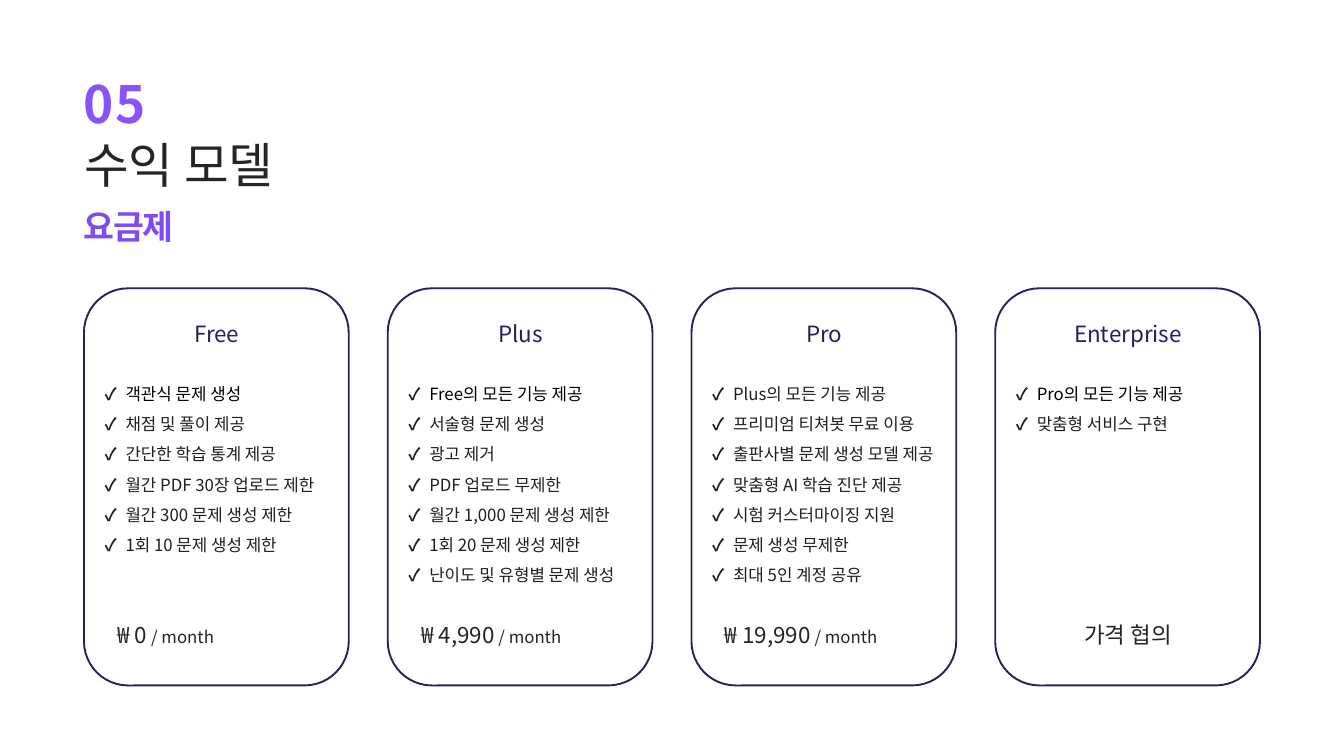
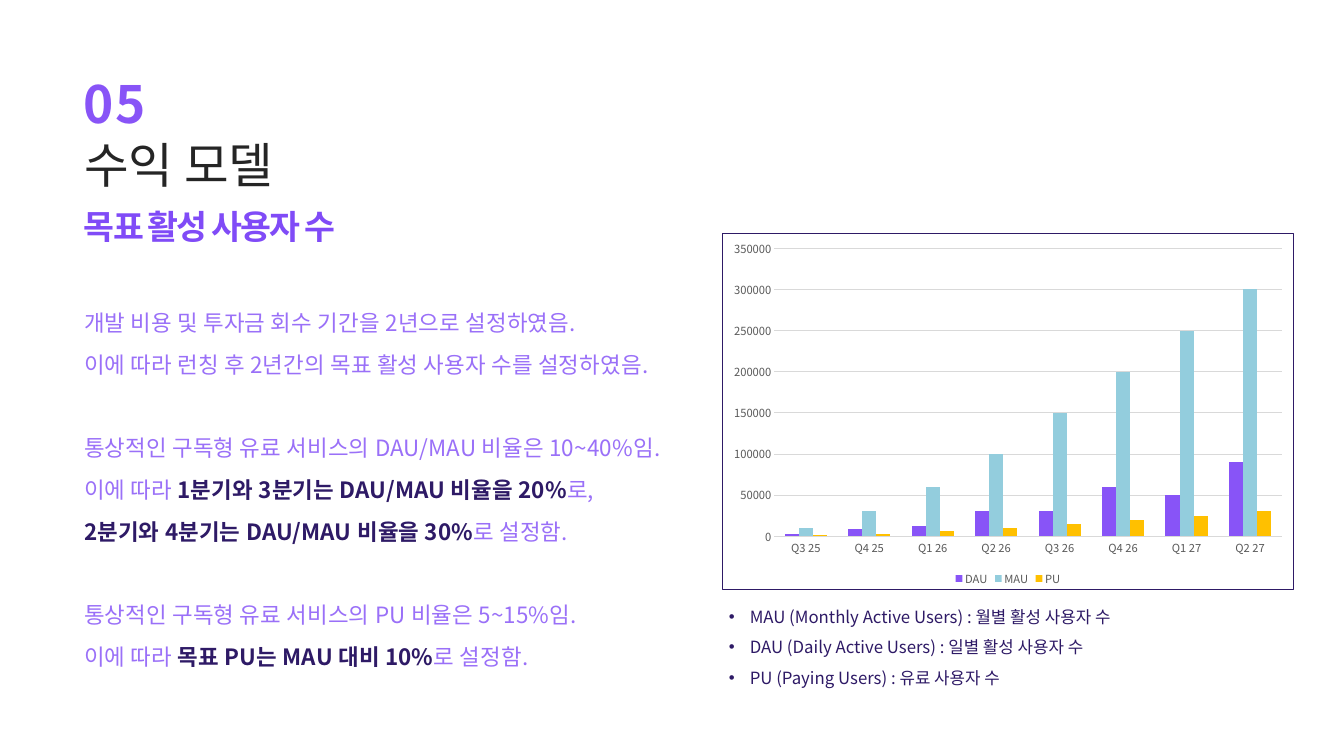
from lxml import etree
from pptx import Presentation
from pptx.chart.data import CategoryChartData
from pptx.dml.color import RGBColor
from pptx.enum.chart import XL_CHART_TYPE, XL_LEGEND_POSITION, XL_TICK_MARK
from pptx.enum.shapes import MSO_SHAPE
from pptx.enum.text import MSO_ANCHOR, MSO_AUTO_SIZE, PP_ALIGN
from pptx.oxml import parse_xml
from pptx.oxml.ns import nsdecls, qn
from pptx.util import Inches, Pt

COLUMNS = XL_CHART_TYPE.COLUMN_CLUSTERED
BOTTOM = XL_LEGEND_POSITION.BOTTOM
NO_TICK = XL_TICK_MARK.NONE
ROUND = MSO_SHAPE.ROUNDED_RECTANGLE
TOP = MSO_ANCHOR.TOP
GROW = MSO_AUTO_SIZE.SHAPE_TO_FIT_TEXT
LEFT, CENTER = PP_ALIGN.LEFT, PP_ALIGN.CENTER

FONT = "Noto Sans CJK KR"
HEX = {
    "number": "8854F7", "title": "252525", "topic": "804BF7",
    "navy": "2E1A66", "lilac": "9A70F8", "item": "1F1F1F",
    "black": "000000", "price": "212529", "axis": "595959",
    "grid": "D9D9D9", "sky": "93CDDD", "gold": "FFC000",
}
WIDE, HIGH = 20, 11.25
EDGE = WIDE / 16


def style(font, size, color, bold=False):
    font.size, font.bold, font.name = Pt(size), bold, FONT
    font.color.rgb = RGBColor.from_string(HEX[color])


def write(box, area, paras, line=None, align=LEFT, inset=True, track=0):
    """Place a box and fill it; a paragraph is a list of (text, size, color, bold)."""
    box.left, box.top, box.width, box.height = [Inches(n) for n in area]
    frame = box.text_frame
    frame.word_wrap, frame.auto_size, frame.vertical_anchor = True, GROW, TOP
    if not inset:
        frame.margin_left = frame.margin_right = 0
        frame.margin_top = frame.margin_bottom = 0
    for i, runs in enumerate(paras):
        para = frame.add_paragraph() if i else frame.paragraphs[0]
        para.alignment = align
        para.space_before = Pt(0)
        if line:
            para.line_spacing = line
        for text, *look in runs:
            run = para.add_run()
            run.text = text
            style(run.font, *look)
            props = run.font._element
            etree.SubElement(props, qn("a:ea")).set("typeface", FONT)
            if track:
                props.set("spc", str(round(track * 100)))
    return frame.paragraphs


deck = Presentation()
deck.slide_width, deck.slide_height = Inches(WIDE), Inches(HIGH)

# Shared heading on both slides
slides = []
for topic in ["요금제", "목표 활성 사용자 수"]:
    slide = deck.slides.add_slide(deck.slide_layouts[5])
    slides.append(slide)
    boxes = slide.shapes
    write(boxes.add_textbox(0, 0, 0, 0), (EDGE, 0.46, 1.53, 1.39),
          [[("05", 55, "number", True)]], Pt(110), inset=False, track=1.3)
    write(boxes.title, (EDGE, 1.43, 5.8, 1.31),
          [[("수익 모델", 52, "title")]], Pt(104), inset=False)
    write(boxes.add_textbox(0, 0, 0, 0), (EDGE, 3.22, 11, 0.49),
          [[(topic, 36, "topic", True)]], Pt(32.1), inset=False, track=-2)
plans, goals = [slide.shapes for slide in slides]

# Pricing cards: name, colour of the first item, items, price, unit
CARDS = [
    ("Free", "black",
     ["객관식 문제 생성", "채점 및 풀이 제공", "간단한 학습 통계 제공",
      "월간 PDF 30장 업로드 제한", "월간 300 문제 생성 제한",
      "1회 10 문제 생성 제한"], "₩ 0", " / month"),
    ("Plus", "black",
     ["Free의 모든 기능 제공", "서술형 문제 생성", "광고 제거",
      "PDF 업로드 무제한", "월간 1,000 문제 생성 제한",
      "1회 20 문제 생성 제한", "난이도 및 유형별 문제 생성"],
     "₩ 4,990", " / month"),
    ("Pro", "item",
     ["Plus의 모든 기능 제공", "프리미엄 티쳐봇 무료 이용",
      "출판사별 문제 생성 모델 제공", "맞춤형 AI 학습 진단 제공",
      "시험 커스터마이징 지원", "문제 생성 무제한",
      "최대 5인 계정 공유"], "₩ 19,990", " / month"),
    ("Enterprise", "black",
     ["Pro의 모든 기능 제공", "맞춤형 서비스 구현"], "가격 협의", ""),
]
CARD, TALL, ROW = 3.94, 5.91, 4.29
STEP = (WIDE - 2 * EDGE - CARD) / (len(CARDS) - 1)
for i, (name, first, items, price, unit) in enumerate(CARDS):
    x = EDGE + i * STEP
    card = plans.add_shape(ROUND, Inches(x), Inches(ROW), Inches(CARD), Inches(TALL))
    card.shadow.inherit = False
    card.fill.background()
    card.line.color.rgb = RGBColor.from_string(HEX["navy"])
    card.line.width = Pt(2)

    rows = [[("✓\t", 18, "item", True), (item, 18, "item" if n else first)]
            for n, item in enumerate(items)]
    lines = write(plans.add_textbox(0, 0, 0, 0),
                  (x + 0.21, 5.51, 3.54, 0.06 + 0.46 * len(items)), rows, 1.5)
    for para in lines:
        tabs = etree.SubElement(para._p.get_or_add_pPr(), qn("a:tabLst"))
        tab = etree.SubElement(tabs, qn("a:tab"))
        tab.set("pos", str(Inches(0.31)))
        tab.set("algn", "l")

    write(plans.add_textbox(0, 0, 0, 0), (x + 0.4, 4.72, 3.15, 0.5),
          [[(name, 24, "navy")]], align=CENTER)
    cost = [(price, 24, "price")]
    if unit:
        cost.append((unit, 18, "price"))
    write(plans.add_textbox(0, 0, 0, 0), (x + 0.4, 9.2, 3.15, 0.5),
          [cost], align=LEFT if unit else CENTER)

# Reasoning behind the goals: plain and strong parts take turns
REASONS = [
    ["개발 비용 및 투자금 회수 기간을 2년으로 설정하였음."],
    ["이에 따라 런칭 후 2년간의 목표 활성 사용자 수를 설정하였음."],
    ["통상적인 구독형 유료 서비스의 DAU/MAU 비율은 10~40%임."],
    ["이에 따라 ", "1분기와 3분기는 DAU/MAU 비율을 20%", "로,"],
    ["", "2분기와 4분기는 DAU/MAU 비율을 30%", "로 설정함."],
    ["통상적인 구독형 유료 서비스의 PU 비율은 5~15%임."],
    ["이에 따라 ", "목표 PU는 MAU 대비 10%", "로 설정함."],
]
rows = [[(part, 24, "navy" if n % 2 else "lilac", n % 2 == 1)
         for n, part in enumerate(parts) if part] for parts in REASONS]
lines = write(goals.add_textbox(0, 0, 0, 0), (EDGE, 4.38, 11.08, 5.62),
              rows, Pt(44.7), inset=False, track=0.2)
for n in (2, 5):
    lines[n].space_before = Pt(44.7)

# Chart of active users
SERIES = [
    ("DAU", "number", [2000, 9000, 12000, 30000, 30000, 60000, 50000, 90000]),
    ("MAU", "sky", [10000, 30000, 60000, 100000, 150000, 200000, 250000, 300000]),
    ("PU", "gold", [1000, 3000, 6000, 10000, 15000, 20000, 25000, 30000]),
]
SIDE, SPAN = 10.75, 8.5
data = CategoryChartData()
data.categories = ["Q3 25", "Q4 25", "Q1 26", "Q2 26",
                   "Q3 26", "Q4 26", "Q1 27", "Q2 27"]
for name, _, vals in SERIES:
    data.add_series(name, vals)
chart = goals.add_chart(COLUMNS, Inches(SIDE), Inches(3.46),
                        Inches(SPAN), Inches(5.32), data).chart
style(chart.font, 10, "black")
chart.has_title = False
chart.has_legend = True
chart.legend.position = BOTTOM
chart.legend.include_in_layout = False
style(chart.legend.font, 12, "axis")
plot = chart.plots[0]
plot.gap_width, plot.overlap, plot.vary_by_categories = 150, 0, False
for bars, (_, color, _) in zip(plot.series, SERIES):
    bars.format.fill.solid()
    bars.format.fill.fore_color.rgb = RGBColor.from_string(HEX[color])
    bars.invert_if_negative = False
for axis in (chart.category_axis, chart.value_axis):
    axis.major_tick_mark = axis.minor_tick_mark = NO_TICK
    axis.format.line.fill.background()
    style(axis.tick_labels.font, 12, "axis")
scale = chart.value_axis
scale.minimum_scale, scale.maximum_scale, scale.major_unit = 0, 350000, 50000
grid = scale.major_gridlines.format.line
grid.color.rgb = RGBColor.from_string(HEX["grid"])
grid.width = Pt(0.75)
frame = parse_xml(
    f'<c:spPr {nsdecls("c", "a")}><a:noFill/><a:ln w="{Pt(0.75)}"><a:solidFill>'
    f'<a:srgbClr val="{HEX["navy"]}"/></a:solidFill></a:ln></c:spPr>')
chart.element.find(qn("c:chart")).addnext(frame)

# Terms under the chart
TERMS = ["MAU (Monthly Active Users) : 월별 활성 사용자 수",
         "DAU (Daily Active Users) : 일별 활성 사용자 수",
         "PU (Paying Users) : 유료 사용자 수"]
lines = write(goals.add_textbox(0, 0, 0, 0), (SIDE, 8.83, SPAN, 1.43),
              [[(term, 18, "navy")] for term in TERMS], 1.5)
for para in lines:
    props = para._p.get_or_add_pPr()
    props.set("marL", str(Inches(0.31)))
    props.set("indent", str(-Inches(0.31)))
    etree.SubElement(props, qn("a:buFont")).set("typeface", "Arial")
    etree.SubElement(props, qn("a:buChar")).set("char", "•")

deck.save("out.pptx")
